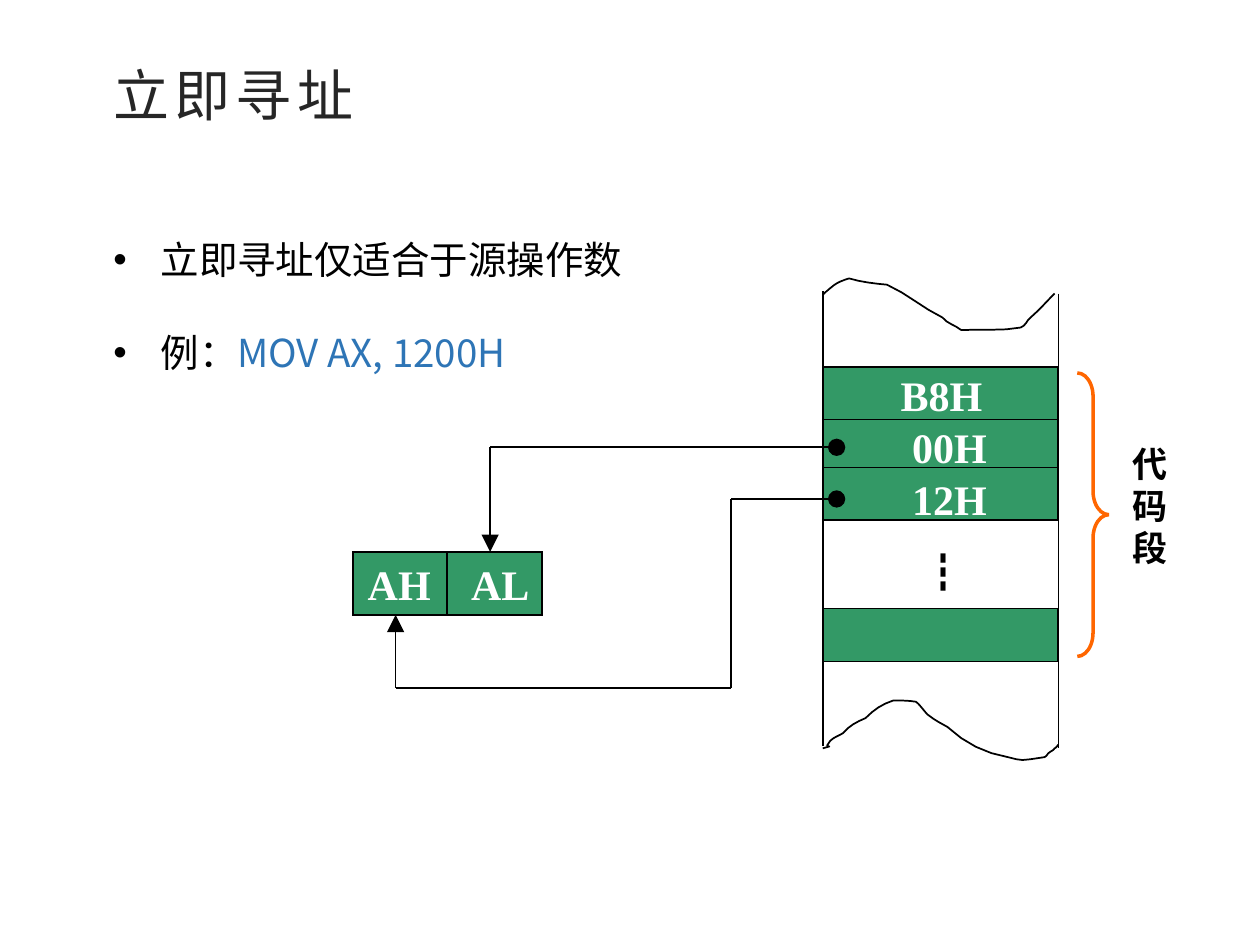
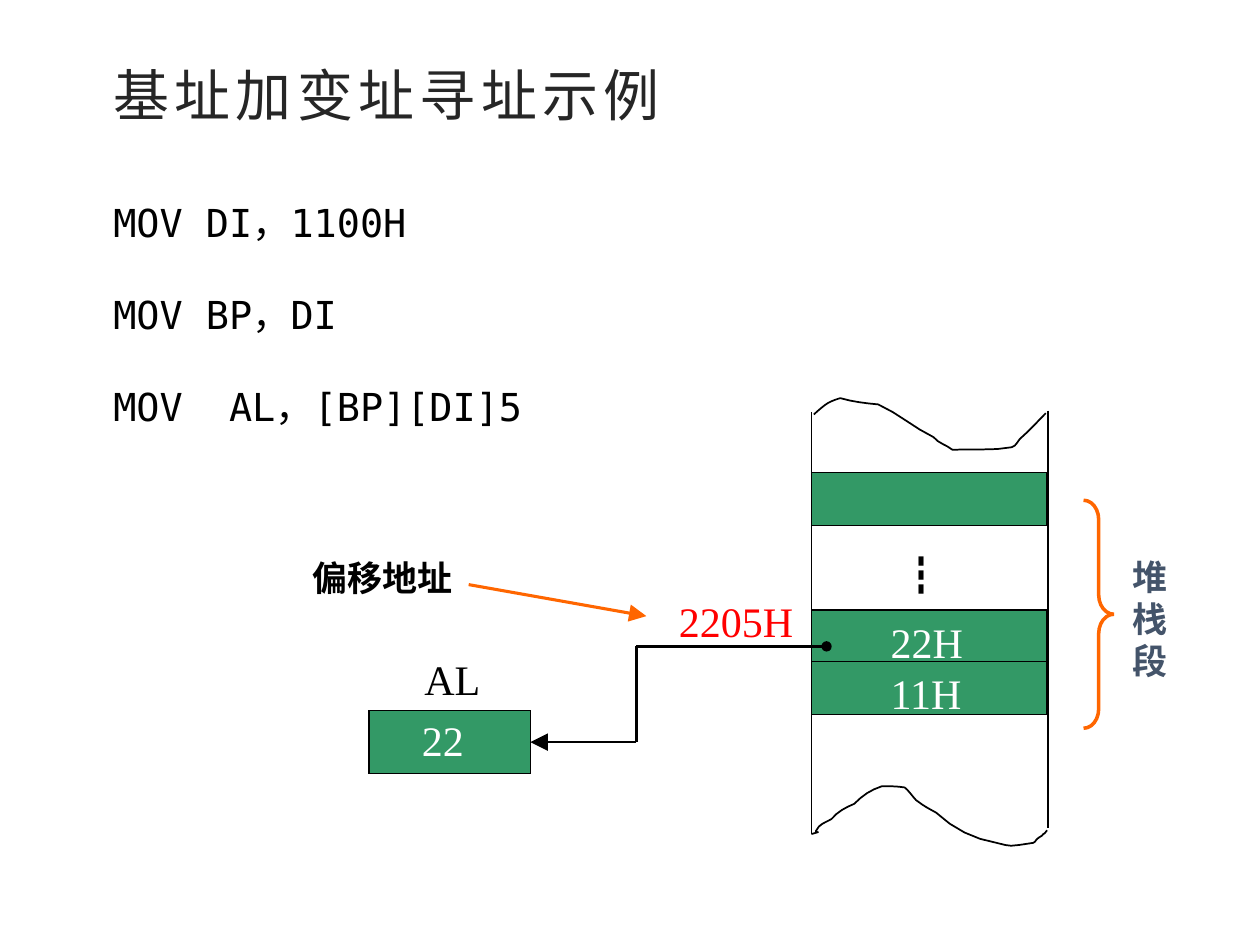
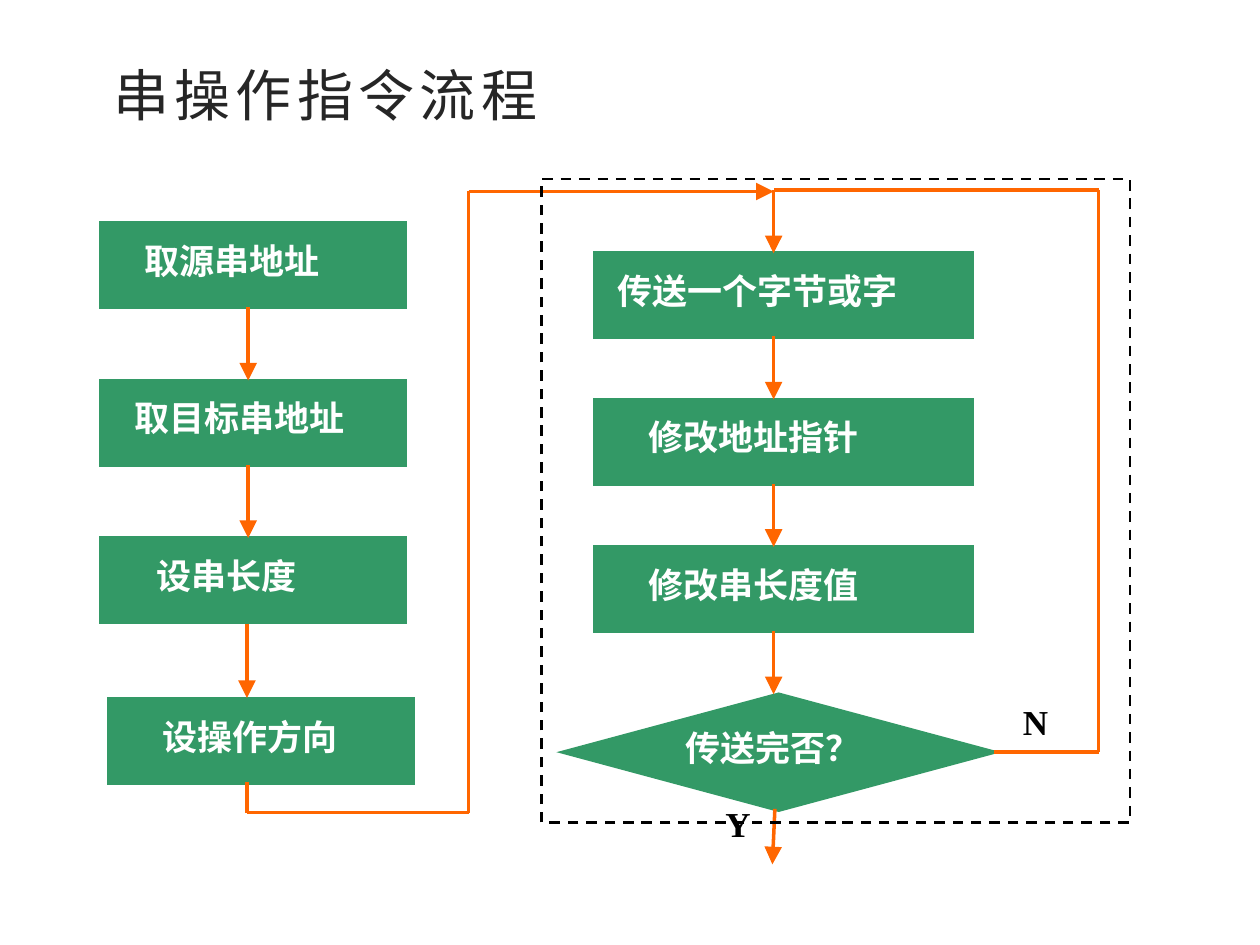
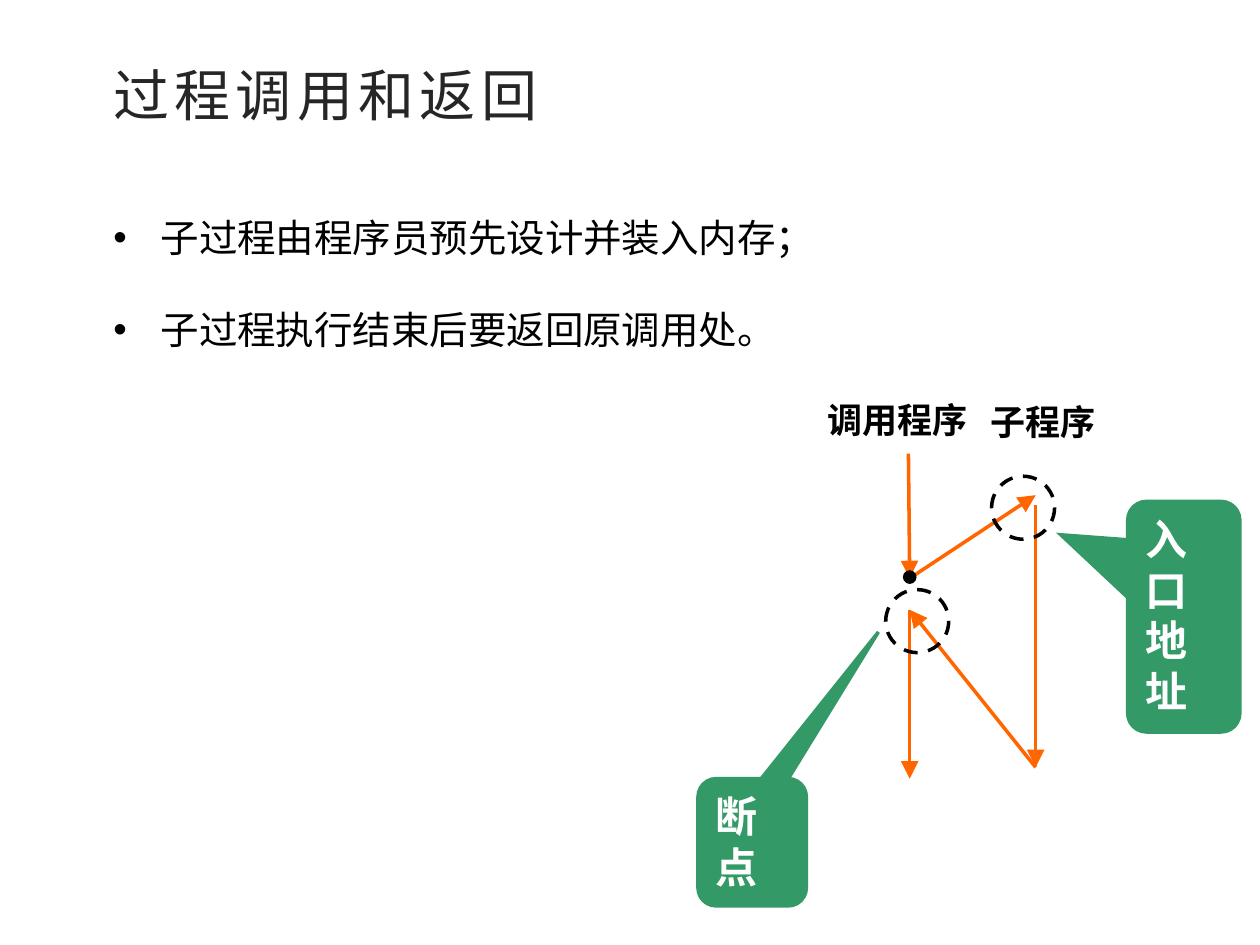
from lxml import etree
from pptx import Presentation
from pptx.dml.color import RGBColor
from pptx.enum.dml import MSO_LINE
from pptx.enum.shapes import MSO_CONNECTOR, MSO_SHAPE
from pptx.enum.text import MSO_ANCHOR, MSO_AUTO_SIZE, PP_ALIGN
from pptx.oxml.ns import qn
from pptx.util import Pt

PX = 9144

RECTANGLE = MSO_SHAPE.RECTANGLE
DIAMOND = MSO_SHAPE.FLOWCHART_DECISION
BRACE = MSO_SHAPE.RIGHT_BRACE
CALLOUT = MSO_SHAPE.ROUNDED_RECTANGULAR_CALLOUT
ELLIPSE = MSO_SHAPE.OVAL
DASH = MSO_LINE.DASH
STRAIGHT = MSO_CONNECTOR.STRAIGHT
LEFT = PP_ALIGN.LEFT
TOP = MSO_ANCHOR.TOP
MIDDLE = MSO_ANCHOR.MIDDLE
NO_AUTOFIT = MSO_AUTO_SIZE.NONE

GREEN = RGBColor(0x33, 0x99, 0x66)
ORANGE = RGBColor(0xFF, 0x66, 0x00)
BLACK = RGBColor(0x00, 0x00, 0x00)
WHITE = RGBColor(0xFF, 0xFF, 0xFF)
RED = RGBColor(0xFF, 0x00, 0x00)
BLUE = RGBColor(0x2E, 0x75, 0xB6)
SLATE = RGBColor(0x44, 0x54, 0x6A)
TITLE_GRAY = RGBColor(0x26, 0x26, 0x26)

CJK = "Noto Sans CJK SC"
MONO = "DejaVu Sans Mono"
SERIF = "Times New Roman"

ARROW = ("triangle", "lg")
DOT = ("oval", "lg")
SMALL_DOT = ("oval", "med")

TOP_WAVE = [
    (0, 13), (2, 11), (9, 5), (11, 4), (14, 2), (21, 0), (21, 0),
    (31, 3), (41, 4), (51, 5), (67, 12), (80, 24), (95, 31),
    (99, 36), (105, 37), (110, 41), (126, 40), (142, 42), (157, 39),
    (161, 38), (162, 33), (165, 31), (172, 25), (178, 18), (184, 12),
]
BOTTOM_WAVE = [
    (0, 38), (13, 34), (-2, 40), (6, 32), (9, 29), (13, 28), (16, 26),
    (21, 20), (27, 17), (34, 14), (41, 7), (47, 3), (56, 0),
    (62, 0), (68, 0), (74, 1), (76, 2), (81, 9), (83, 11),
    (91, 17), (92, 17), (99, 21), (113, 34), (129, 42), (147, 45),
    (159, 48), (156, 48), (176, 45), (178, 44), (178, 43), (179, 42),
    (181, 40), (183, 40), (184, 38), (185, 38), (187, 35), (187, 35),
]

side_middles = {}


def add_run(paragraph, text, size, color, font, bold=False):
    run = paragraph.add_run()
    run.text = text
    run.font.size = Pt(size)
    run.font.bold = bold
    run.font.color.rgb = color
    run.font.name = font
    properties = run.font._element
    etree.SubElement(properties, qn("a:ea")).set("typeface", CJK)
    return properties


def add_shape(slide, kind, box, fill, outline, weight, dash=None, adjustments=()):
    shape = slide.shapes.add_shape(kind, *[value * PX for value in box])
    shape.shadow.inherit = False
    if fill is None:
        shape.fill.background()
    else:
        shape.fill.solid()
        shape.fill.fore_color.rgb = fill
    shape.line.color.rgb = outline
    shape.line.width = Pt(weight)
    if dash is not None:
        shape.line.dash_style = dash
    stroke = shape._element.spPr.find(qn("a:ln"))
    etree.SubElement(stroke, qn("a:miter")).set("lim", "800000")
    for index, value in enumerate(adjustments):
        shape.adjustments[index] = value
    left, top, width, height = box
    center, middle = left + width / 2, top + height / 2
    middles = [(center, top), (left, middle), (center, top + height), (left + width, middle)]
    if kind in (RECTANGLE, DIAMOND):
        for site, (x, y) in enumerate(middles):
            side_middles[slide.slide_id, x, y] = shape, site
    return shape


presentation = Presentation()
presentation.slide_width = 1000 * PX
presentation.slide_height = 750 * PX

contents = [
    ("立即寻址", (80, 146, 855, 145), CJK, True, [
        [("立即寻址仅适合于源操作数", BLACK)],
        [("例：", BLACK), ("MOV AX, 1200H", BLUE)],
    ]),
    ("基址加变址寻址示例", (80, 116, 855, 221), MONO, False, [
        [("MOV DI，1100H", BLACK)],
        [("MOV BP，DI", BLACK)],
        [("MOV  AL，[BP][DI]5", BLACK)],
    ]),
    ("串操作指令流程", None, None, False, []),
    ("过程调用和返回", (80, 128, 903, 147), MONO, True, [
        [("子过程由程序员预先设计并装入内存；", BLACK)],
        [("子过程执行结束后要返回原调用处。", BLACK)],
    ]),
]

for title_text, body_box, body_font, bulleted, items in contents:
    layout = presentation.slide_layouts[1 if items else 5]
    slide = presentation.slides.add_slide(layout)
    title = slide.shapes.title
    title.left, title.top, title.width, title.height = [value * PX for value in (80, 43, 858, 64)]
    title.text_frame.auto_size = NO_AUTOFIT
    title.text_frame.vertical_anchor = MIDDLE
    paragraph = title.text_frame.paragraphs[0]
    paragraph.alignment = LEFT
    add_run(paragraph, title_text, 32, TITLE_GRAY, CJK).set("spc", "300")
    if not items:
        continue
    body = slide.placeholders[1]
    body.left, body.top, body.width, body.height = [value * PX for value in body_box]
    frame = body.text_frame
    frame.auto_size = NO_AUTOFIT
    frame.vertical_anchor = TOP
    for index, runs in enumerate(items):
        paragraph = frame.add_paragraph() if index else frame.paragraphs[0]
        paragraph.line_spacing = 2.0
        paragraph.space_before = Pt(0)
        if not bulleted:
            properties = paragraph._p.get_or_add_pPr()
            properties.set("marL", "0")
            properties.set("indent", "0")
            etree.SubElement(properties, qn("a:buNone"))
        for text, color in runs:
            add_run(paragraph, text, 22, color, body_font)

immediate, indexed, strings, calls = presentation.slides

memory_columns = [
    (immediate, 653, (291, 333, 371, 483), (653, 221), (653, 556)),
    (indexed, 644, (375, 484, 525), (646, 316), (644, 624)),
]
for slide, left, cell_tops, top_origin, bottom_origin in memory_columns:
    for top in cell_tops:
        add_shape(slide, RECTANGLE, (left, top, 187, 42), GREEN, BLACK, 1)
    for wave, (origin_x, origin_y) in ((TOP_WAVE, top_origin), (BOTTOM_WAVE, bottom_origin)):
        points = [((x + origin_x) * PX, (y + origin_y) * PX) for x, y in wave]
        curve = []
        for start in range(0, len(points) - 1, 3):
            for t in (0.25, 0.5, 0.75, 1):
                weights = ((1 - t) ** 3, 3 * t * (1 - t) ** 2, 3 * t * t * (1 - t), t ** 3)
                controls = points[start:start + 4]
                curve.append(tuple(
                    sum(weight * control[axis] for weight, control in zip(weights, controls))
                    for axis in (0, 1)
                ))
        builder = slide.shapes.build_freeform(*points[0])
        builder.add_line_segments(curve, close=False)
        edge = builder.convert_to_shape()
        edge.shadow.inherit = False
        edge.fill.background()
        edge.line.color.rgb = BLACK
        edge.line.width = Pt(1)

add_shape(immediate, RECTANGLE, (280, 438, 150, 50), GREEN, BLACK, 1)
add_shape(indexed, RECTANGLE, (293, 564, 128, 50), GREEN, BLACK, 1)
add_shape(immediate, BRACE, (855, 296, 25, 225), None, ORANGE, 2, adjustments=(0.745, 0.5))
add_shape(indexed, BRACE, (860, 397, 24, 181), None, ORANGE, 2, adjustments=(0.639, 0.5))

labels = [
    (immediate, (714, 371, 92, 50), "12H", 24, WHITE, SERIF, True),
    (immediate, (714, 330, 92, 50), "00H", 24, WHITE, SERIF, True),
    (immediate, (705, 288, 108, 50), "B8H", 24, WHITE, SERIF, True),
    (immediate, (282, 438, 75, 50), "AH", 24, WHITE, SERIF, True),
    (immediate, (364, 438, 75, 50), "AL", 24, WHITE, SERIF, True),
    (immediate, (889, 346, 50, 110), "代码段", 20, BLACK, SERIF, True),
    (immediate, (722, 429, 67, 50), "┇", 24, BLACK, CJK, False),
    (indexed, (697, 484, 92, 50), "22H", 24, WHITE, SERIF, False),
    (indexed, (697, 525, 92, 50), "11H", 24, WHITE, SERIF, False),
    (indexed, (529, 468, 115, 50), "2205H", 24, RED, SERIF, False),
    (indexed, (238, 437, 151, 43), "偏移地址", 20, BLACK, SERIF, True),
    (indexed, (327, 514, 77, 50), "AL", 24, BLACK, SERIF, False),
    (indexed, (325, 562, 79, 50), "22", 24, WHITE, SERIF, False),
    (indexed, (705, 431, 67, 50), "┇", 24, BLACK, CJK, False),
    (indexed, (889, 436, 50, 110), "堆栈段", 20, SLATE, SERIF, True),
    (strings, (534, 572, 208, 43), "传送完否？", 20, WHITE, SERIF, True),
    (strings, (802, 551, 47, 43), "N", 20, BLACK, SERIF, True),
    (strings, (566, 632, 47, 43), "Y", 20, BLACK, SERIF, True),
    (calls, (647, 311, 150, 43), "调用程序", 20, BLACK, SERIF, True),
    (calls, (776, 313, 126, 43), "子程序", 20, BLACK, SERIF, True),
]

steps = [
    (80, 177, 242, 105, 208, "取源串地址"),
    (80, 302, 242, 97, 242, "取目标串地址"),
    (80, 427, 242, 114, 208, "设串长度"),
    (86, 555, 242, 119, 179, "设操作方向"),
    (472, 201, 300, 480, 292, "传送一个字节或字"),
    (472, 317, 300, 505, 233, "修改地址指针"),
    (472, 434, 300, 505, 233, "修改串长度值"),
]
for left, top, width, label_left, label_width, text in steps:
    add_shape(strings, RECTANGLE, (left, top, width, 67), GREEN, GREEN, 2)
    labels.append((strings, (label_left, top + 8, label_width, 43), text, 20, WHITE, SERIF, True))
add_shape(strings, DIAMOND, (447, 551, 342, 92), GREEN, GREEN, 2)

routes = [
    (immediate, [(653, 231), (653, 592)], BLACK, 1, None, None),
    (immediate, [(840, 233), (840, 594)], BLACK, 1, None, None),
    (immediate, [(355, 438), (355, 488)], BLACK, 1, None, None),
    (immediate, [(664, 355), (389, 355), (389, 438)], BLACK, 1, DOT, ARROW),
    (immediate, [(664, 396), (580, 396), (580, 546), (314, 546), (314, 488)],
     BLACK, 1, DOT, ARROW),
    (indexed, [(644, 327), (644, 662)], BLACK, 1, None, None),
    (indexed, [(832, 326), (832, 657)], BLACK, 1, None, None),
    (indexed, [(372, 464), (513, 489)], ORANGE, 1.75, None, ARROW),
    (indexed, [(656, 513), (505, 513), (505, 589), (421, 589)], BLACK, 1.5, SMALL_DOT, ARROW),
    (strings, [(615, 642), (613, 686)], ORANGE, 2, None, ARROW),
    (strings, [(789, 597), (872, 597), (872, 151), (614, 151)], ORANGE, 2, None, None),
    (strings, [(196, 621), (196, 645), (372, 645), (372, 152), (614, 152)],
     ORANGE, 2, None, ARROW),
    (calls, [(721, 360), (722, 459)], ORANGE, 2, None, ARROW),
    (calls, [(722, 459), (822, 393)], ORANGE, 2, None, ARROW),
    (calls, [(822, 401), (822, 609)], ORANGE, 2, None, ARROW),
    (calls, [(822, 609), (722, 484)], ORANGE, 2, None, ARROW),
    (calls, [(722, 484), (722, 618)], ORANGE, 2, None, ARROW),
]
for x, start, end in [
    (614, 151, 201), (614, 267, 317), (614, 384, 434), (614, 501, 551),
    (197, 244, 302), (197, 369, 427), (196, 495, 554),
]:
    routes.append((strings, [(x, start), (x, end)], ORANGE, 2, None, ARROW))

for slide, points, color, weight, head, tail in routes:
    last = len(points) - 2
    for index, (start, end) in enumerate(zip(points, points[1:])):
        connector = slide.shapes.add_connector(
            STRAIGHT, *[value * PX for value in start + end])
        connector.line.color.rgb = color
        connector.line.width = Pt(weight)
        start_site = side_middles.get((slide.slide_id, *start))
        end_site = side_middles.get((slide.slide_id, *end))
        if start_site:
            connector.begin_connect(*start_site)
        if end_site:
            connector.end_connect(*end_site)
        properties = connector._element.spPr
        stroke = properties.find(qn("a:ln"))
        for tag, marker, here in (("a:headEnd", head, 0), ("a:tailEnd", tail, last)):
            if marker and index == here:
                kind, size = marker
                etree.SubElement(stroke, qn(tag), type=kind, w=size, len=size)
        etree.SubElement(properties, qn("a:effectLst"))

add_shape(strings, RECTANGLE, (430, 142, 467, 511), None, BLACK, 1.5, DASH)

for box in ((703, 468, 50, 50), (787, 378, 50, 50)):
    add_shape(calls, ELLIPSE, box, None, BLACK, 2, DASH)
add_shape(calls, ELLIPSE, (718, 454, 8, 8), BLACK, BLACK, 2)

for box, adjustments, text in [
    ((554, 618, 86, 101), (1.165, -1.653, 0.167), "断点"),
    ((895, 398, 89, 183), (-1.096, -0.355, 0.167), "入口地址"),
]:
    callout = add_shape(calls, CALLOUT, box, GREEN, GREEN, 2, adjustments=adjustments)
    callout.text_frame.word_wrap = True
    callout.text_frame.vertical_anchor = TOP
    paragraph = callout.text_frame.paragraphs[0]
    paragraph.alignment = LEFT
    paragraph.line_spacing = Pt(29)
    add_run(paragraph, text, 24, WHITE, SERIF, True)

for slide, box, text, size, color, font, bold in labels:
    label = slide.shapes.add_textbox(*[value * PX for value in box])
    label.text_frame.word_wrap = True
    paragraph = label.text_frame.paragraphs[0]
    paragraph.line_spacing = Pt(size * 1.2)
    add_run(paragraph, text, size, color, font, bold)

presentation.save("out.pptx")
